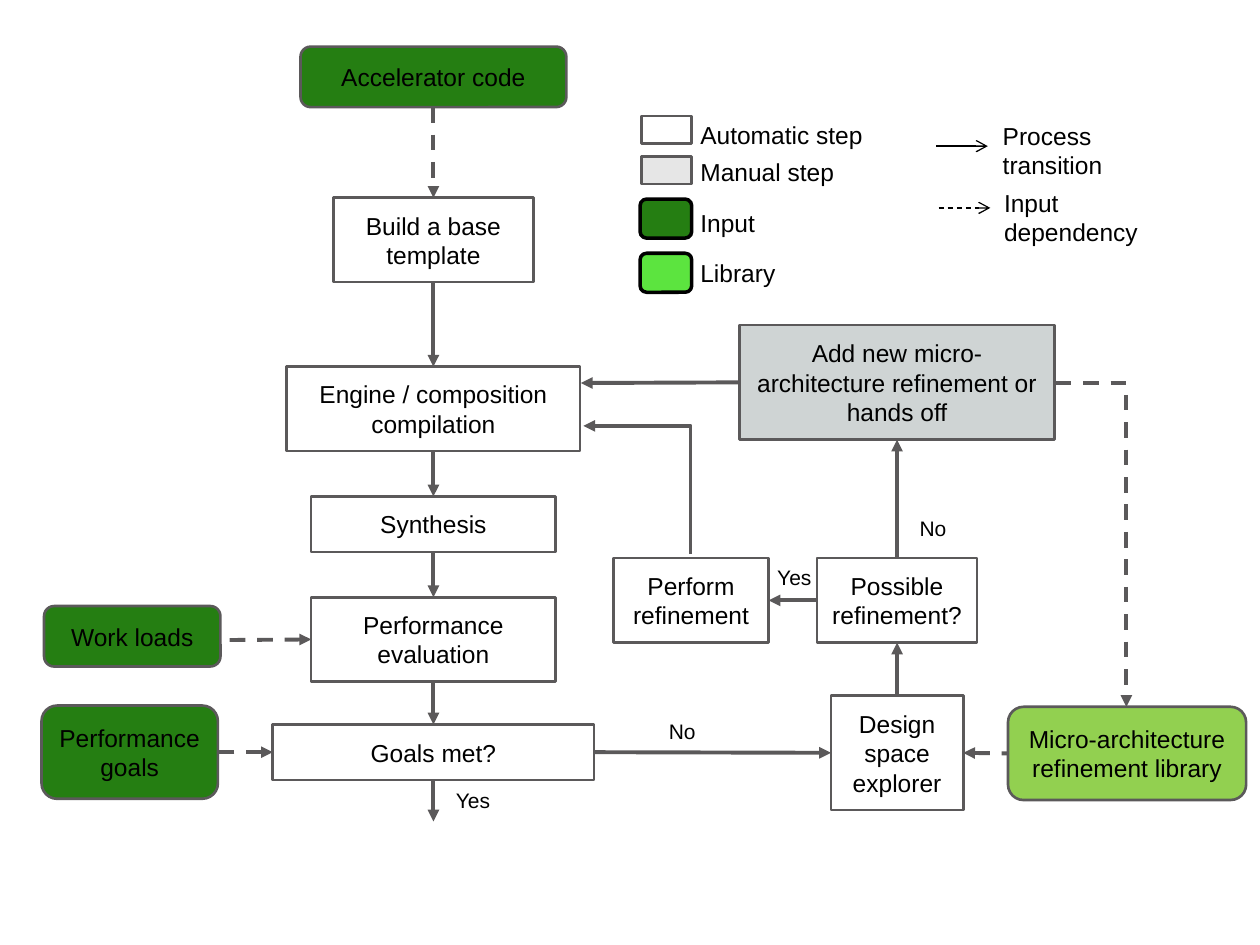
from lxml.etree import SubElement
from pptx import Presentation
from pptx.dml.color import RGBColor
from pptx.enum.dml import MSO_LINE
from pptx.enum.shapes import MSO_CONNECTOR as Link, MSO_SHAPE as Shape
from pptx.enum.text import MSO_ANCHOR as Anchor, MSO_AUTO_SIZE as AutoSize, PP_ALIGN as Align
from pptx.oxml.ns import qn
from pptx.util import Inches, Pt

THEME = {
    "font": "Arial", "body": Pt(14), "label": Pt(12), "text": "000000",
    "outline": "5B595A", "automatic": "FFFFFF", "manual": "CFD4D4",
    "manual key": "E6E6E6", "input": "257E12", "library": "92D050",
    "library key": "5CE43F",
}
TOP, LEFT, BOTTOM, RIGHT = range(4)

deck = Presentation()
deck.slide_width, deck.slide_height = Inches(10), Inches(7.5)
page = deck.slides.add_slide(deck.slide_layouts[6])

# Grid: 100 columns by 75 rows
column, row = deck.slide_width / 100, deck.slide_height / 75
main, branch = 34.4, 71.2  # centre columns of the two flows


def write(box, text, size, align, margins):
    frame = box.text_frame
    frame.text = text
    frame.word_wrap = True
    frame.auto_size = AutoSize.SHAPE_TO_FIT_TEXT
    side, edge = margins
    frame.margin_left = frame.margin_right = round(side * column)
    frame.margin_top = frame.margin_bottom = round(edge * row)
    para = frame.paragraphs[0]
    para.alignment = align
    for span in para.runs:
        span.font.name, span.font.size = THEME["font"], size
        span.font.color.rgb = RGBColor.from_string(THEME["text"])


def connect(kind, start, end, color, width, arrow, dashed=False):
    """Draw a connector; arrow is (headEnd or tailEnd, arrowhead type)."""
    points = [round(n * step) for n, step in zip((*start, *end), (column, row) * 2)]
    link = page.shapes.add_connector(kind, *points)
    link.line.color.rgb = RGBColor.from_string(THEME[color])
    link.line.width = Pt(width)
    if dashed:
        link.line.dash_style = MSO_LINE.DASH
    properties = link.element.spPr
    SubElement(properties.find(qn("a:ln")), qn("a:" + arrow[0])).set("type", arrow[1])
    SubElement(properties, qn("a:effectLst"))
    return link


# Flow boxes: centre column, top row, width, height
nodes = {}
for name, role, center, top, width, height in [
    ("Accelerator code", "input", main, 3.7, 21.1, 4.8),
    ("Build a base template", "automatic", main, 15.7, 15.9, 6.7),
    ("Engine / composition compilation", "automatic", main, 29.1, 23.3, 6.7),
    ("Synthesis", "automatic", main, 39.4, 19.4, 4.4),
    ("Performance evaluation", "automatic", main, 47.4, 19.4, 6.7),
    ("Goals met?", "automatic", main, 57.5, 25.5, 4.4),
    ("Work loads", "input", 10.5, 48.1, 14, 4.8),
    ("Performance goals", "input", 10.3, 56, 14, 7.4),
    ("Perform refinement", "automatic", 54.85, 44.3, 12.3, 6.7),
    ("Design space explorer", "automatic", branch, 55.2, 10.5, 9.1),
    ("Possible refinement?", "automatic", branch, 44.3, 12.7, 6.7),
    ("Add new micro-architecture refinement or hands off", "manual", branch, 25.8, 25, 9.1),
    ("Micro-architecture refinement library", "library", 89.45, 56.1, 18.9, 7.4),
]:
    outline = Shape.ROUNDED_RECTANGLE if role in ("input", "library") else Shape.RECTANGLE
    box = page.shapes.add_shape(outline, round((center - width / 2) * column),
                                round(top * row), round(width * column), round(height * row))
    box.shadow.inherit = False
    box.fill.solid()
    box.fill.fore_color.rgb = RGBColor.from_string(THEME[role])
    box.line.color.rgb = RGBColor.from_string(THEME["outline"])
    box.line.width = Pt(1.5)
    write(box, name, THEME["body"], Align.CENTER, (1, 1))
    box.text_frame.vertical_anchor = Anchor.MIDDLE
    nodes[name] = box

(code, template, engine, synthesis, evaluation, goals_met, loads, goals,
 perform, explorer, possible, add_new, library) = nodes.values()

# Arrows between the sides of two boxes
forward, backward = ("tailEnd", "triangle"), ("headEnd", "triangle")
for source, source_side, target, target_side, arrow, dashed in [
    (code, BOTTOM, template, TOP, forward, True),
    (template, BOTTOM, engine, TOP, forward, False),
    (engine, BOTTOM, synthesis, TOP, forward, False),
    (synthesis, BOTTOM, evaluation, TOP, forward, False),
    (evaluation, BOTTOM, goals_met, TOP, forward, False),
    (goals_met, RIGHT, explorer, LEFT, forward, False),
    (goals_met, LEFT, goals, RIGHT, backward, True),
    (explorer, TOP, possible, BOTTOM, forward, False),
    (explorer, RIGHT, library, LEFT, backward, True),
    (perform, RIGHT, possible, LEFT, backward, False),
    (possible, TOP, add_new, BOTTOM, forward, False),
]:
    link = connect(Link.STRAIGHT, (0, 0), (1, 1), "outline", 2.25, arrow, dashed)
    link.begin_connect(source, source_side)
    link.end_connect(target, target_side)

# Arrows with one free end
for source, side, end, arrow, dashed in [
    (goals_met, BOTTOM, (main, 65.2), forward, False),
    (evaluation, LEFT, (17.6, 50.8), backward, True),
    (add_new, LEFT, (46.1, 30.4), forward, False),
]:
    link = connect(Link.STRAIGHT, end, end, "outline", 2.25, arrow, dashed)
    link.begin_connect(source, side)

# Arrows with one corner
for start, end, arrow, dashed in [
    ((83.8, 30.4), (89.4, 56.1), forward, True),
    ((46.3, 33.8), (54.8, 44), backward, False),
]:
    link = connect(Link.ELBOW, start, end, "outline", 2.25, arrow, dashed)
    link.element.spPr.find(qn("a:prstGeom")).set("prst", "bentConnector2")

# Legend swatches
for outline, role, edge, weight, left, top, width, height in [
    (Shape.RECTANGLE, "automatic", "outline", 1.5, 50.9, 9.2, 4, 2.2),
    (Shape.RECTANGLE, "manual key", "outline", 1.5, 50.9, 12.4, 4, 2.2),
    (Shape.ROUNDED_RECTANGLE, "input", "text", 2, 50.8, 15.8, 4.1, 3.1),
    (Shape.ROUNDED_RECTANGLE, "library key", "text", 2, 50.8, 20.1, 4.1, 3.1),
]:
    swatch = page.shapes.add_shape(outline, round(left * column), round(top * row),
                                   round(width * column), round(height * row))
    swatch.shadow.inherit = False
    swatch.fill.solid()
    swatch.fill.fore_color.rgb = RGBColor.from_string(THEME[role])
    swatch.line.color.rgb = RGBColor.from_string(THEME[edge])
    swatch.line.width = Pt(weight)

# Legend arrows
for left, top, dashed in [(74.3, 11.6, False), (74.5, 16.5, True)]:
    connect(Link.STRAIGHT, (left, top), (left + 4.1, top), "text", 0.75,
            ("tailEnd", "arrow"), dashed)

# Legend texts and branch labels
legend, branch_label = ("body", (1, 0.5)), ("label", (1, 1))
for text, (size, margins), left, top, width, height in [
    ("Automatic step", legend, 54.6, 9, 17.8, 3.4),
    ("Manual step", legend, 54.6, 12, 17.8, 3.4),
    ("Input", legend, 54.6, 16, 17.8, 3.4),
    ("Library", legend, 54.6, 20, 17.8, 3.4),
    ("Process transition", legend, 78.6, 9.1, 15.8, 5.7),
    ("Input dependency", legend, 78.7, 14.4, 15.8, 5.7),
    ("No", branch_label, 52.1, 56, 5.1, 4),
    ("Yes", branch_label, 35.2, 61.5, 5.1, 4),
    ("No", branch_label, 72, 39.9, 4.5, 4),
    ("Yes", branch_label, 60.7, 43.8, 5.1, 4),
]:
    box = page.shapes.add_textbox(round(left * column), round(top * row),
                                  round(width * column), round(height * row))
    write(box, text, THEME[size], Align.LEFT, margins)

deck.save("out.pptx")
